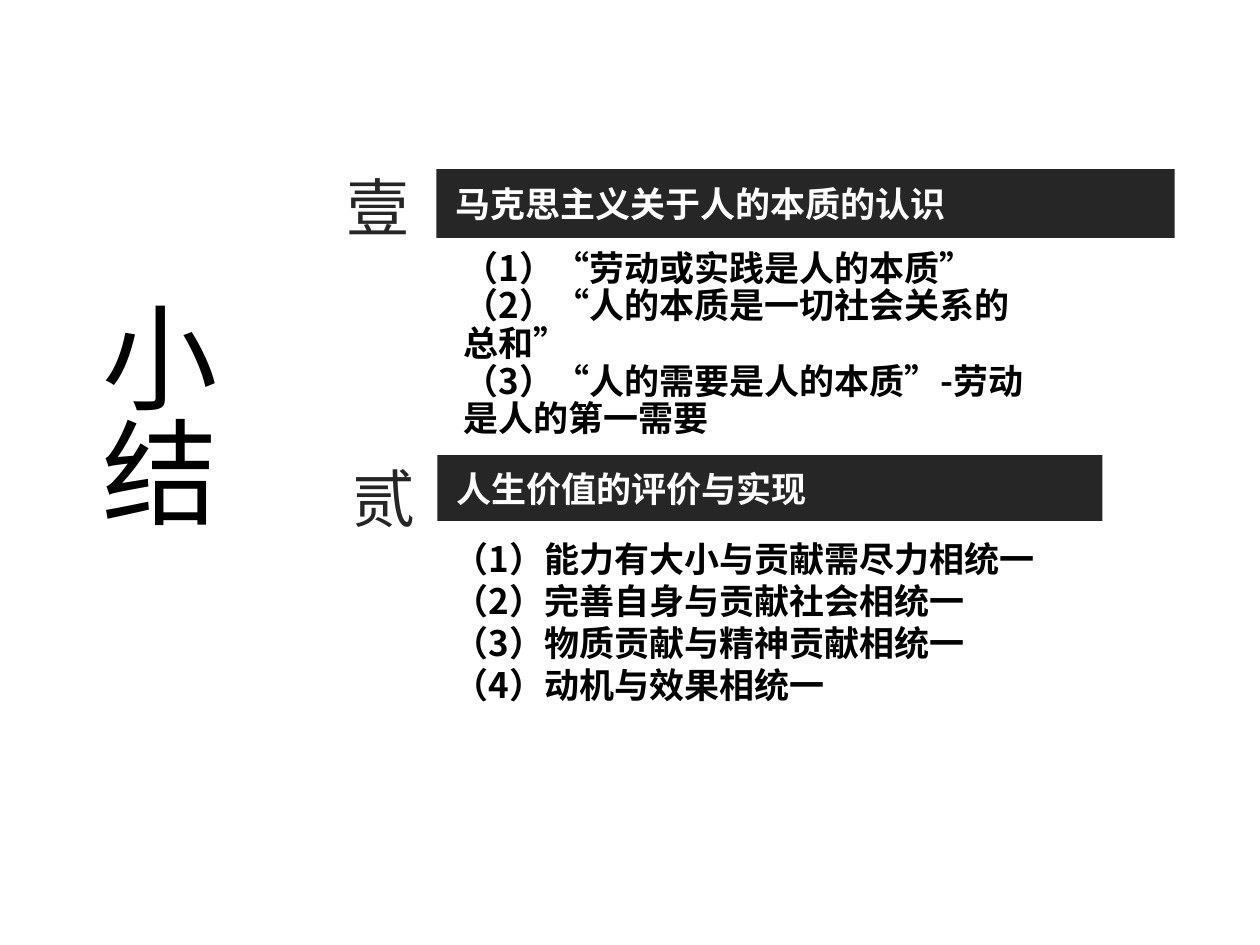
from dataclasses import dataclass

from lxml import etree
from pptx import Presentation
from pptx.dml import color
from pptx.enum import shapes, text
from pptx.oxml import ns
from pptx.util import Pt

FONT = "Noto Sans CJK SC"
DARK, WHITE, BLACK = "262626", "FFFFFF", "000000"


@dataclass
class Box:
    left: float
    top: float
    width: float
    height: float


@dataclass
class Part:
    mark: str
    spot: Box
    head: str
    bar: Box
    lines: list[str]
    body: Box
    pitch: float


PARTS = [
    Part("壹", Box(190.3, 92.9, 51, 51),
         "马克思主义关于人的本质的认识", Box(249.3, 96.6, 422, 39.4),
         ["（1）“劳动或实践是人的本质”",
          "（2）“人的本质是一切社会关系的总和”",
          "（3）“人的需要是人的本质”-劳动是人的第一需要"],
         Box(257.8, 139.7, 344, 118), 21.5),
    Part("贰", Box(193.9, 259.2, 51, 51),
         "人生价值的评价与实现", Box(250, 260.1, 380, 37.6),
         ["（1）能力有大小与贡献需尽力相统一",
          "（2）完善自身与贡献社会相统一",
          "（3）物质贡献与精神贡献相统一",
          "（4）动机与效果相统一"],
         Box(252, 303.8, 374, 154), 24),
]


def paint(code: str) -> color.RGBColor:
    return color.RGBColor.from_string(code)


def place(box: Box) -> tuple:
    return Pt(box.left), Pt(box.top), Pt(box.width), Pt(box.height)


def style(frame, size: float, tint: str, bold: bool = False) -> None:
    for para in frame.paragraphs:
        for run in para.runs:
            font = run.font
            font.size, font.bold, font.name = Pt(size), bold, FONT
            font.color.rgb = paint(tint)
            east = etree.SubElement(font._element, ns.qn("a:ea"))
            east.set("typeface", FONT)


def write(slide, box: Box, words: str, size: float, tint: str,
          bold: bool = False, wrap: bool = True):
    frame = slide.shapes.add_textbox(*place(box)).text_frame
    frame.word_wrap = wrap
    frame.text = words
    style(frame, size, tint, bold)
    return frame


def band(slide, box: Box, words: str) -> None:
    bar = slide.shapes.add_shape(shapes.MSO_SHAPE.RECTANGLE, *place(box))
    bar.shadow.inherit = False
    bar.fill.solid()
    bar.fill.fore_color.rgb = paint(DARK)
    bar.line.fill.background()
    frame = bar.text_frame
    frame.word_wrap = True
    frame.margin_left = Pt(10.8)
    frame.vertical_anchor = text.MSO_ANCHOR.MIDDLE
    frame.text = words
    frame.paragraphs[0].alignment = text.PP_ALIGN.LEFT
    style(frame, 20, WHITE, True)


def draw(slide, part: Part) -> None:
    mark = write(slide, part.spot, part.mark, 36, DARK, wrap=False)
    mark.paragraphs[0].alignment = text.PP_ALIGN.CENTER
    band(slide, part.bar, part.head)
    body = write(slide, part.body, "\n".join(part.lines), 20, BLACK, True)
    for para in body.paragraphs:
        para.line_spacing = Pt(part.pitch)


def main() -> None:
    deck = Presentation()
    deck.slide_width, deck.slide_height = Pt(720), Pt(540)
    slide = deck.slides.add_slide(deck.slide_layouts[6])
    for part in PARTS:
        draw(slide, part)
    title = write(slide, Box(38.2, 164.2, 94.3, 162), "小结", 66, BLACK)
    title._txBody.bodyPr.set("vert", "eaVert")
    deck.save("out.pptx")


if __name__ == "__main__":
    main()
